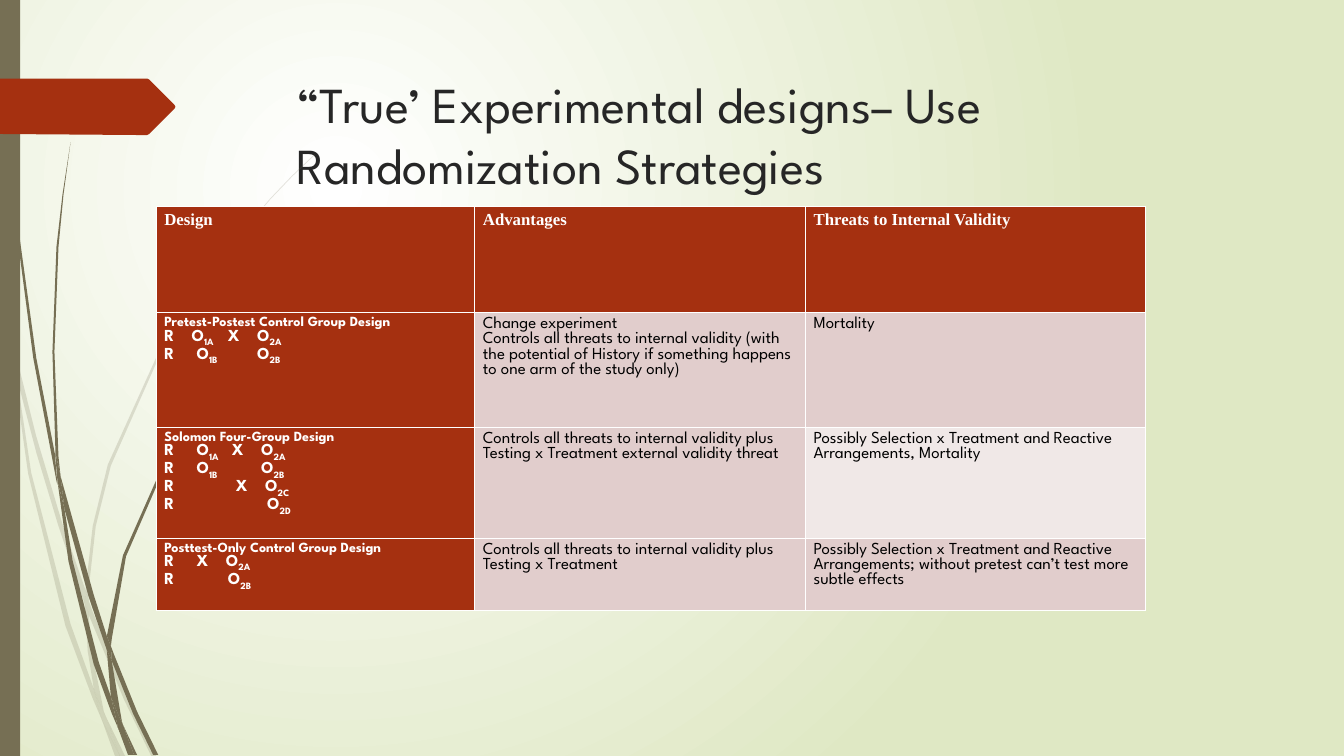
import pptx
import pptx.util
import pptx.dml.color
import pptx.enum.shapes
import pptx.enum.text
import pptx.oxml.ns
import lxml.etree

PX = 9144
COLORS = {
    "white": "FFFFFF", "black": "000000", "title": "262626", "brown": "766F54",
    "rust": "A53010", "green": "DFE8C4", "rose": "E1CDCC", "pale": "F0E8E7",
}
BACK_WISPS = [
    [(11, 350), (9, 322), (0, 282), (0, 299), (10, 344)],
    [(58, 522), (84, 599), (85, 586), (62, 520), (36, 433), (14, 345), (17, 376), (36, 449)],
    [(92, 607), (88, 596), (88, 610), (123, 694), (150, 750), (155, 750), (127, 692)],
    [(119, 750), (124, 750), (105, 711)],
    [(93, 683), (70, 619), (31, 469), (17, 376), (11, 350), (28, 470), (65, 621), (92, 693),
     (101, 714), (99, 707)],
    [(84, 599), (87, 646), (93, 683), (96, 692), (105, 711), (103, 706), (91, 646), (88, 610),
     (88, 608)],
    [(88, 584), (95, 522), (110, 462), (160, 349), (229, 245), (268, 198), (290, 175),
     (312, 154), (312, 153), (289, 175), (268, 197), (228, 244), (158, 348), (107, 461),
     (92, 522), (85, 584), (85, 586), (88, 596)],
    [(101, 714), (114, 750), (119, 750)],
    [(88, 608), (88, 610), (88, 596), (85, 586), (84, 599)],
    [(96, 692), (93, 683), (99, 707), (101, 714), (119, 750), (105, 711)],
]
FRONT_WISPS = [
    [(7, 110), (17, 233), (33, 355), (56, 477), (57, 481), (55, 457), (55, 453), (36, 355),
     (19, 232), (8, 109), (5, 48), (4, 0), (3, 0), (4, 48)],
    [(88, 592), (106, 645), (106, 633), (106, 631), (93, 590), (60, 472), (64, 505)],
    [(113, 649), (110, 641), (111, 656), (132, 708), (152, 749), (157, 749), (136, 706)],
    [(110, 691), (98, 657), (72, 556), (64, 505), (57, 477), (68, 557), (93, 659), (111, 708),
     (117, 722), (116, 717)],
    [(60, 472), (58, 453), (54, 349), (58, 245), (63, 193), (70, 141), (62, 193), (56, 245),
     (52, 349), (55, 449)],
    [(133, 749), (136, 749), (122, 719)],
    [(57, 477), (64, 505), (60, 472), (55, 449), (55, 453)],
    [(111, 633), (125, 552), (158, 476), (205, 406), (231, 374), (245, 359), (261, 344),
     (260, 344), (245, 358), (231, 373), (204, 405), (156, 474), (122, 551), (106, 631),
     (110, 641)],
    [(117, 722), (127, 749), (131, 749)],
    [(106, 645), (110, 691), (116, 706), (122, 719), (121, 716), (111, 656), (109, 651)],
    [(106, 645), (109, 651), (111, 656), (110, 641), (106, 631), (106, 633)],
    [(116, 706), (110, 691), (116, 717), (117, 722), (130, 749), (133, 749), (122, 719)],
]
RIBBON = [(173, 108), (148, 133), (146, 134), (136, 134), (0, 133), (0, 78), (146, 78),
          (148, 79), (173, 104), (174, 106)]
HEADERS = ["Design", "Advantages", "Threats to Internal Validity"]
DESIGNS = [
    ("Pretest-Postest Control Group Design",
     [("R\tO{1A}\tX\tO{2A}", [27, 63, 92]), ("R\tO{1B}\tO{2B}", [32, 92])],
     "Change experiment\nControls all threats to internal validity (with the potential of "
     "History if something happens to one arm of the study only)",
     "Mortality", "rose"),
    ("Solomon Four-Group Design",
     [("R\tO{1A}\tX\tO{2A}", [32, 67, 96]), ("R\tO{1B}\tO{2B}", [32, 96]),
      ("R\tX\tO{2C}", [71, 100]), ("R\tO{2D}", [102])],
     "Controls all threats to internal validity plus Testing x Treatment external validity threat",
     "Possibly Selection x Treatment and Reactive Arrangements, Mortality", "pale"),
    ("Posttest-Only Control Group Design",
     [("R\tX\tO{2A}", [32, 61]), ("R\tO{2B}", [63])],
     "Controls all threats to internal validity plus Testing x Treatment",
     "Possibly Selection x Treatment and Reactive Arrangements; without pretest can’t test "
     "more subtle effects", "rose"),
]


class SlideBuilder:
    font = "League Spartan"
    header_font = "Times New Roman"

    def __init__(self, presentation):
        self.slide = presentation.slides.add_slide(presentation.slide_layouts[5])

    def color(self, name):
        return pptx.dml.color.RGBColor.from_string(COLORS[name])

    def child(self, parent, tag, **attributes):
        return lxml.etree.SubElement(parent, pptx.oxml.ns.qn(tag), attributes)

    def background(self, inner, outer):
        fill = self.slide.background.fill
        fill.gradient()
        for stop, name in zip(fill.gradient_stops, (inner, outer)):
            stop.color.rgb = self.color(name)
        gradient = self.slide._element.find(".//" + pptx.oxml.ns.qn("a:gradFill"))
        gradient.remove(gradient.find(pptx.oxml.ns.qn("a:lin")))
        circle = self.child(gradient, "a:path", path="circle")
        self.child(circle, "a:fillToRect", l="50000", t="50000", r="100000", b="100000")

    def paint(self, shape, name, opacity=100):
        shape.shadow.inherit = False
        shape.line.fill.background()
        shape.fill.solid()
        shape.fill.fore_color.rgb = self.color(name)
        if opacity < 100:
            fill_color = shape._element.spPr.find(".//" + pptx.oxml.ns.qn("a:srgbClr"))
            self.child(fill_color, "a:alpha", val=str(opacity * 1000))

    def outline(self, points, name, opacity=100):
        builder = self.slide.shapes.build_freeform(*points[0], scale=PX)
        builder.add_line_segments(points[1:], close=True)
        self.paint(builder.convert_to_shape(), name, opacity)

    def bar(self, left, top, width, height, name):
        shape = self.slide.shapes.add_shape(
            pptx.enum.shapes.MSO_SHAPE.RECTANGLE, left * PX, top * PX, width * PX, height * PX)
        self.paint(shape, name)

    def format(self, paragraph, size, name, bold=False, font=None):
        paragraph.alignment = pptx.enum.text.PP_ALIGN.LEFT
        for run in paragraph.runs:
            run.font.size = pptx.util.Pt(size)
            run.font.name = font or self.font
            run.font.bold = bold
            run.font.color.rgb = self.color(name)

    def title(self, text, left, top, width, height):
        shape = self.slide.shapes.title
        shape.left, shape.top, shape.width, shape.height = (
            value * PX for value in (left, top, width, height))
        shape.text_frame.text = text
        shape.text_frame.word_wrap = True
        shape.text_frame.auto_size = pptx.enum.text.MSO_AUTO_SIZE.NONE
        shape.text_frame.vertical_anchor = pptx.enum.text.MSO_ANCHOR.TOP
        self.format(shape.text_frame.paragraphs[0], 36, "title")

    def table(self, left, top, columns, rows):
        table = self.slide.shapes.add_table(
            len(rows), len(columns), left * PX, top * PX, sum(columns) * PX, sum(rows) * PX).table
        for column, width in zip(table.columns, columns):
            column.width = width * PX
        for row, height in zip(table.rows, rows):
            row.height = height * PX
        return table

    def cell(self, cell, text, fill, name, size=12, bold=False, font=None):
        cell.fill.solid()
        cell.fill.fore_color.rgb = self.color(fill)
        cell.margin_left = cell.margin_right = 8 * PX
        cell.margin_top = cell.margin_bottom = 4 * PX
        cell.text_frame.text = text
        for paragraph in cell.text_frame.paragraphs:
            self.format(paragraph, size, name, bold, font)

    def notation(self, cell, text, stops):
        paragraph = cell.text_frame.add_paragraph()
        for index, piece in enumerate(text.replace("}", "{").split("{")):
            if piece:
                run = paragraph.add_run()
                run.text = piece
                if index % 2:
                    run.font._element.set("baseline", "-25000")
        self.format(paragraph, 12, "white", True)
        tabs = self.child(paragraph._p.get_or_add_pPr(), "a:tabLst")
        for stop in stops:
            self.child(tabs, "a:tab", pos=str(stop * PX), algn="l")


def main():
    presentation = pptx.Presentation()
    presentation.slide_width, presentation.slide_height = 1333 * PX, 750 * PX
    builder = SlideBuilder(presentation)
    builder.background("white", "green")
    for wisp in BACK_WISPS:
        builder.outline(wisp, "brown", 20)
    for wisp in FRONT_WISPS:
        builder.outline(wisp, "brown")
    builder.bar(0, 0, 20, 750, "brown")
    builder.outline(RIBBON, "rust")
    builder.title("“True’ Experimental designs– Use Randomization Strategies", 284, 68, 975, 140)
    table = builder.table(155, 205, [316, 328, 337], [105, 114, 110, 72])
    for column, header in enumerate(HEADERS):
        builder.cell(table.cell(0, column), header, "rust", "white", 12, True, builder.header_font)
    for row, (design, lines, advantages, threats, shade) in enumerate(DESIGNS, 1):
        builder.cell(table.cell(row, 0), design, "rust", "white", 10, True)
        for text, stops in lines:
            builder.notation(table.cell(row, 0), text, stops)
        builder.cell(table.cell(row, 1), advantages, "rose", "black")
        builder.cell(table.cell(row, 2), threats, shade, "black")
    presentation.save("out.pptx")


if __name__ == "__main__":
    main()
